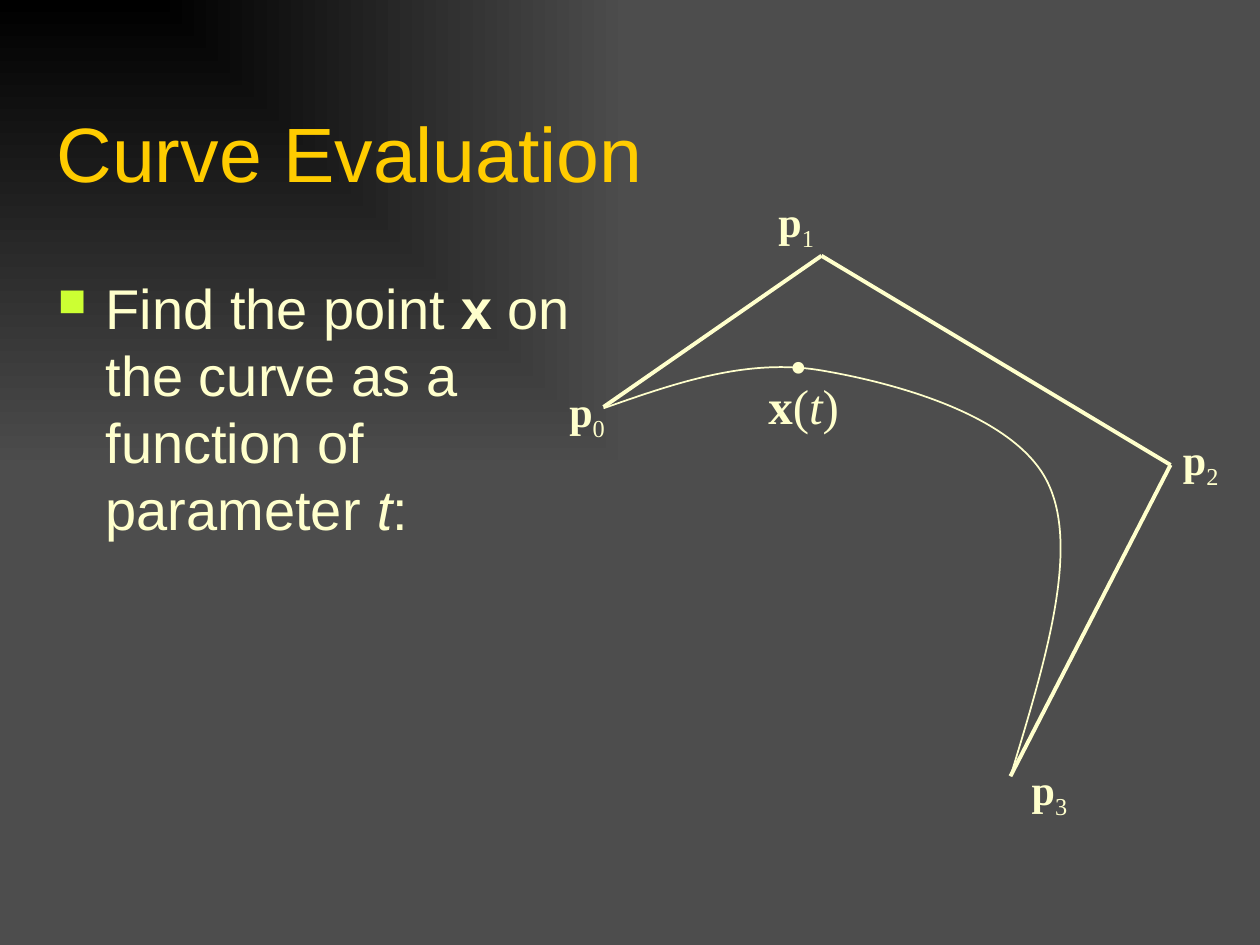
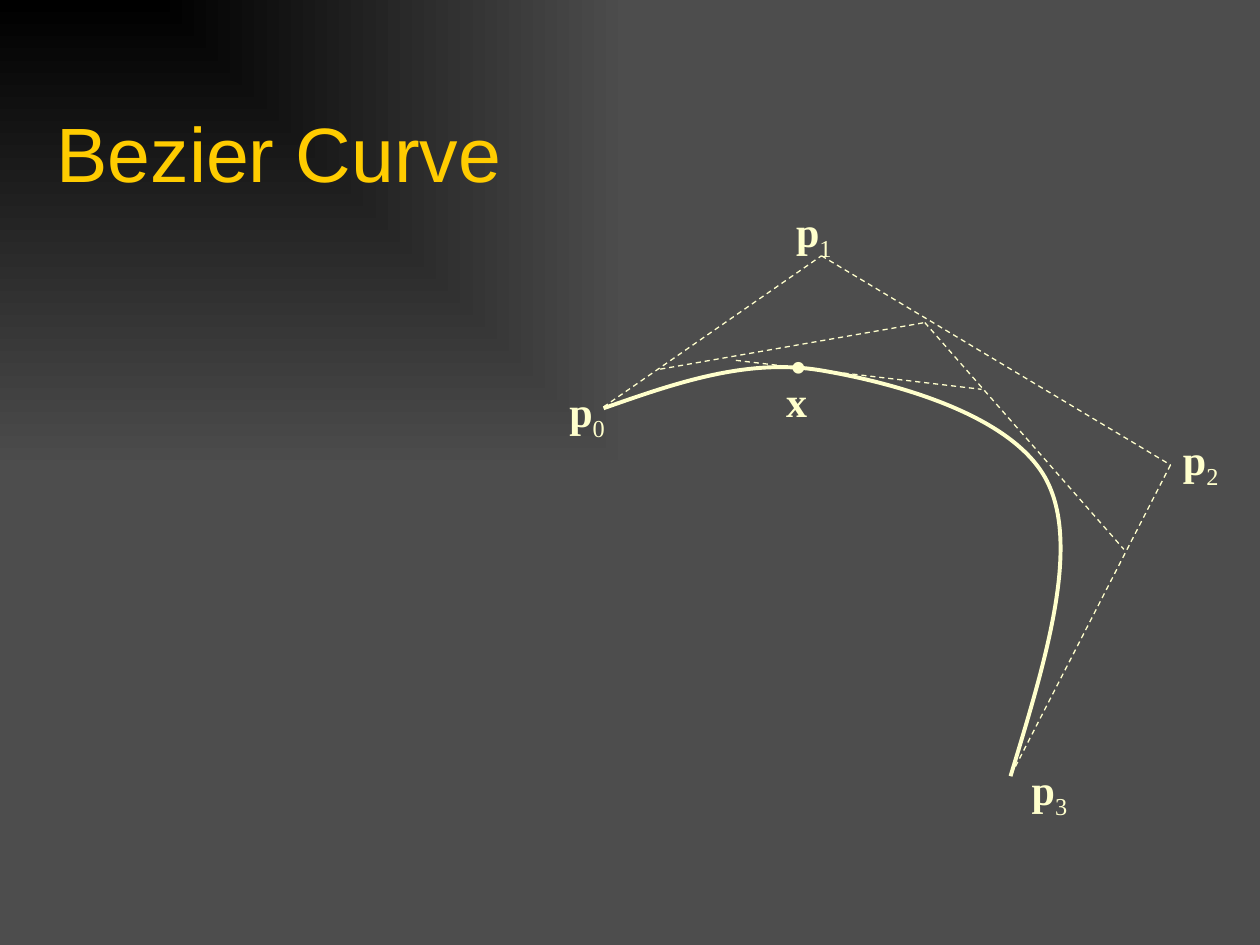
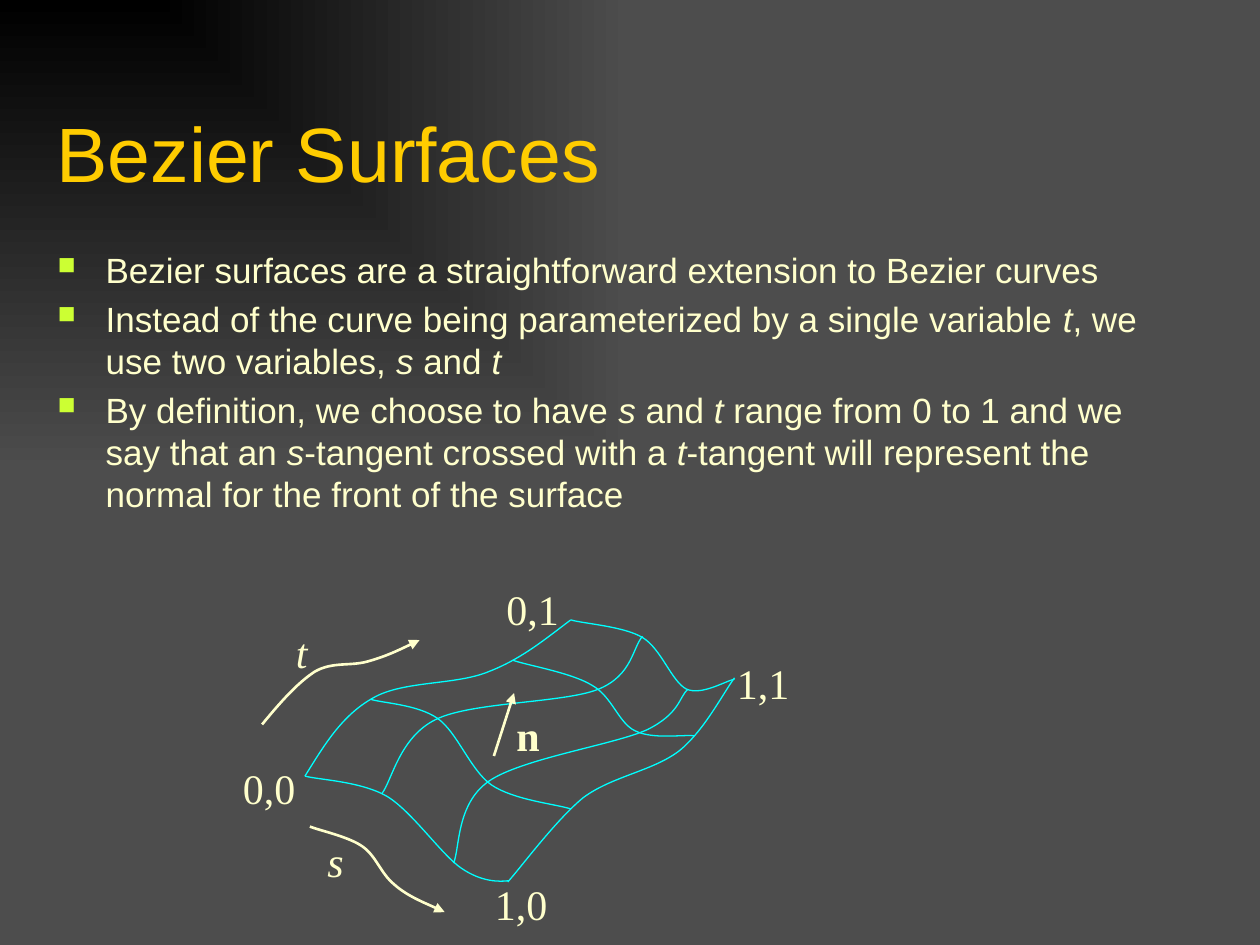
from itertools import pairwise

from lxml.etree import SubElement
from pptx import Presentation
from pptx.dml.color import RGBColor
from pptx.enum.dml import MSO_LINE
from pptx.enum.shapes import MSO_CONNECTOR
from pptx.enum.text import MSO_ANCHOR, MSO_AUTO_SIZE as AUTO
from pptx.oxml.ns import qn
from pptx.util import Inches, Pt

SANS, SERIF = "Arial", "Times New Roman"
GOLD, CREAM, LIME, CYAN = "FFCC00", "FFFFCC", "CCFF33", "00FFFF"
BLACK, GRAY = "000000", "4D4D4D"


def rgb(value):
    return RGBColor.from_string(value)


def add_xml(parent, tag, **attributes):
    return SubElement(parent, qn(tag), attributes)


class Deck:
    """Shared style and the slide being drawn."""

    def __init__(self):
        self.prs = Presentation()
        self.prs.slide_width, self.prs.slide_height = Inches(10), Inches(7.5)
        self.slide = None
        self.paint_background()

    def paint_background(self):
        """Dark corner at top left, on the master for every slide."""
        fill = self.prs.slide_master.background.fill
        fill.gradient()
        for stop, color in zip(fill.gradient_stops, (BLACK, GRAY)):
            stop.color.rgb = rgb(color)
        master = self.prs.slide_master.element
        gradient = next(master.iter(qn("a:gradFill")))
        gradient.remove(gradient.find(qn("a:lin")))
        corner = add_xml(gradient, "a:path", path="rect")
        add_xml(corner, "a:fillToRect", r="100000", b="100000")

    def new_slide(self, title):
        self.slide = self.prs.slides.add_slide(self.prs.slide_layouts[6])
        frame = self.frame(0.35, 0.79, 9.45, 0.83)
        frame.vertical_anchor = MSO_ANCHOR.BOTTOM
        self.set_text(frame.paragraphs[0], [title], 44, SANS, GOLD)

    def frame(self, left, top, width, height, wrap=True, grow=True):
        box = self.slide.shapes.add_textbox(*map(Inches, (left, top, width, height)))
        frame = box.text_frame
        frame.word_wrap = wrap
        frame.auto_size = AUTO.SHAPE_TO_FIT_TEXT if grow else AUTO.NONE
        return frame

    def set_text(self, paragraph, parts, size, face=SERIF, color=CREAM):
        """Parts are plain strings or (text, mark) with mark b, i or sub."""
        font = paragraph.font
        font.size, font.name, font.color.rgb = Pt(size), face, rgb(color)
        for part in parts:
            text, mark = (part, "") if isinstance(part, str) else part
            run = paragraph.add_run()
            run.text = text
            if mark == "b":
                run.font.bold = True
            elif mark == "i":
                run.font.italic = True
            elif mark == "sub":
                run._r.get_or_add_rPr().set("baseline", "-25000")

    def label(self, left, top, width, height, parts, size=24, wrap=False):
        frame = self.frame(left, top, width, height, wrap)
        self.set_text(frame.paragraphs[0], parts, size)

    def bullets(self, left, top, width, height, items, size):
        frame = self.frame(left, top, width, height, grow=False)
        for index, parts in enumerate(items):
            paragraph = frame.add_paragraph() if index else frame.paragraphs[0]
            props = paragraph._p.get_or_add_pPr()
            indent = Inches(0.38)
            props.set("marL", str(indent))
            props.set("indent", str(-indent))
            add_xml(add_xml(props, "a:buClr"), "a:srgbClr", val=LIME)
            add_xml(props, "a:buSzPct", val="70000")
            add_xml(props, "a:buChar", char="■")
            if index:
                paragraph.space_before = Pt(size * 0.2)
            self.set_text(paragraph, parts, size, SANS)

    def stroke(self, line, color, width, dashed=False, arrow=False):
        line.color.rgb, line.width = rgb(color), Pt(width)
        if dashed:
            line.dash_style = MSO_LINE.DASH
        if arrow:
            add_xml(line._get_or_add_ln(), "a:tailEnd", type="triangle")

    def polyline(self, points, width, **style):
        for start, end in pairwise(points):
            segment = self.slide.shapes.add_connector(
                MSO_CONNECTOR.STRAIGHT, *map(Inches, start + end))
            self.stroke(segment.line, CREAM, width, **style)
            add_xml(segment.element.spPr, "a:effectLst")

    def curve(self, points, width, color=CREAM, shapes=None, **style):
        """Cubic Bezier: a start, then three control points per piece."""
        start, *controls = [tuple(map(Inches, point)) for point in points]
        builder = (shapes or self.slide.shapes).build_freeform(*start, scale=1.0)
        builder.add_line_segments(controls, close=False)
        shape = builder.convert_to_shape()
        shape.shadow.inherit = False
        shape.fill.background()
        self.stroke(shape.line, color, width, **style)
        # Merge each three straight steps into one cubic piece
        steps = list(shape.element.iter(qn("a:lnTo")))
        outline = steps[0].getparent()
        for first in range(0, len(steps), 3):
            piece = add_xml(outline, "a:cubicBezTo")
            for step in steps[first:first + 3]:
                piece.append(step[0])
                outline.remove(step)


# Cubic curve with its control polygon
POLYGON = [(4.79, 3.23), (6.52, 2.03), (9.29, 3.69), (8.02, 6.16)]
CURVE = [(4.79, 3.24), (5.36, 3.04), (5.93, 2.84), (6.52, 2.94), (7.11, 3.04),
         (8.07, 3.3), (8.32, 3.84), (8.57, 4.37), (8.29, 5.27), (8.02, 6.16)]


def draw_curve(deck, polygon_width, curve_width, p1_place, dashed=False):
    deck.polyline(POLYGON, polygon_width, dashed=dashed)
    deck.curve(CURVE, curve_width)
    places = [(4.42, 3.01), p1_place, (9.29, 3.39), (8.09, 6.01)]
    for index, place in enumerate(places):
        deck.label(*place, 0.5, 0.5, [("p", "b"), (str(index), "sub")])
    deck.label(6.17, 2.61, 0.34, 0.57, ["•"], 28)


def evaluation_slide(deck):
    deck.new_slide("Curve Evaluation")
    deck.bullets(0.36, 2.12, 4.31, 4.5, [
        ["Find the point ", ("x", "b"),
         " on the curve as a function of parameter ", ("t", "i"), ":"]], 32)
    draw_curve(deck, 2.25, 1, (6.08, 1.5))
    deck.label(6, 2.93, 0.82, 0.57, [("x", "b"), "(", ("t", "i"), ")"], 28, wrap=True)


def curve_slide(deck):
    deck.new_slide("Bezier Curve")
    draw_curve(deck, 0.75, 2.25, (6.22, 1.58), dashed=True)
    # Interpolation steps towards x
    deck.polyline([(5.24, 2.93), (7.34, 2.56), (8.92, 4.36)], 0.75, dashed=True)
    deck.polyline([(5.84, 2.86), (7.79, 3.09)], 0.75, dashed=True)
    deck.label(6.14, 2.93, 0.37, 0.5, [("x", "b")])


T_CURVES = [
    [(2.42, 6.16), (2.57, 5.92), (2.71, 5.68), (2.96, 5.54), (3.2, 5.4),
     (3.62, 5.44), (3.88, 5.33), (4.14, 5.23), (4.33, 5.07), (4.53, 4.92)],
    [(3.03, 6.3), (3.11, 6.2), (3.17, 5.85), (3.46, 5.71), (3.74, 5.57),
     (4.48, 5.58), (4.75, 5.47), (5.02, 5.36), (5.02, 5.14), (5.1, 5.05)],
    [(3.6, 6.85), (3.65, 6.74), (3.62, 6.38), (3.88, 6.2), (4.14, 6.02),
     (4.88, 5.91), (5.14, 5.79), (5.4, 5.66), (5.39, 5.53), (5.46, 5.47)],
    [(4.03, 7), (4.13, 6.89), (4.41, 6.51), (4.63, 6.33), (4.86, 6.16),
     (5.18, 6.12), (5.39, 5.96), (5.59, 5.8), (5.74, 5.5), (5.83, 5.38)],
]
S_CURVES = [
    [(2.42, 6.16), (2.53, 6.19), (2.86, 6.2), (3.07, 6.32), (3.27, 6.44),
     (3.5, 6.78), (3.66, 6.89), (3.82, 7), (3.96, 7), (4.04, 6.99)],
    [(2.94, 5.55), (3.03, 5.58), (3.31, 5.59), (3.47, 5.7), (3.63, 5.81),
     (3.73, 6.11), (3.9, 6.23), (4.08, 6.35), (4.4, 6.38), (4.53, 6.42)],
    [(4.07, 5.24), (4.18, 5.28), (4.54, 5.34), (4.7, 5.44), (4.86, 5.53),
     (4.91, 5.74), (5.04, 5.8), (5.18, 5.87), (5.41, 5.83), (5.51, 5.84)],
    [(4.53, 4.92), (4.63, 4.95), (4.95, 4.97), (5.1, 5.06), (5.25, 5.15),
     (5.33, 5.41), (5.45, 5.47), (5.57, 5.52), (5.75, 5.41), (5.83, 5.39)],
]
S_ARROW = [(2.46, 6.56), (2.53, 6.59), (2.77, 6.64), (2.88, 6.72), (2.99, 6.8),
           (3.02, 6.93), (3.13, 7.02), (3.23, 7.11), (3.45, 7.2), (3.53, 7.24)]
T_ARROW = [(2.08, 5.75), (2.22, 5.58), (2.36, 5.42), (2.5, 5.33), (2.64, 5.25),
           (2.78, 5.29), (2.92, 5.25), (3.06, 5.21), (3.19, 5.15), (3.33, 5.08)]


def surface_slide(deck):
    deck.new_slide("Bezier Surfaces")
    s, t = ("s", "i"), ("t", "i")
    deck.bullets(0.36, 1.92, 8.98, 4.5, [
        ["Bezier surfaces are a straightforward extension to Bezier curves"],
        ["Instead of the curve being parameterized by a single variable ", t,
         ", we use two variables, ", s, " and ", t],
        ["By definition, we choose to have ", s, " and ", t,
         " range from 0 to 1 and we say that an ", s, "-tangent crossed with a ", t,
         "-tangent will represent the normal for the front of the surface"],
    ], 20)

    # Surface patch
    patch = deck.slide.shapes.add_group_shape()
    for points in T_CURVES + S_CURVES:
        deck.curve(points, 0.75, CYAN, patch.shapes)

    # Parameter directions and normal
    for points in (S_ARROW, T_ARROW):
        deck.curve(points, 1.5, arrow=True)
    deck.polyline([(3.92, 6), (4.08, 5.5)], 1.5, arrow=True)

    # Names of directions and corners
    for left, top, name in [
            (2.5, 6.58, s), (2.25, 4.92, t), (1.83, 6, "0,0"), (5.75, 5.17, "1,1"),
            (3.83, 6.92, "1,0"), (3.92, 4.58, "0,1"), (4, 5.58, ("n", "b"))]:
        deck.label(left, top, 0.92, 0.5, [name], wrap=True)


def main():
    deck = Deck()
    evaluation_slide(deck)
    curve_slide(deck)
    surface_slide(deck)
    deck.prs.save("out.pptx")


if __name__ == "__main__":
    main()
